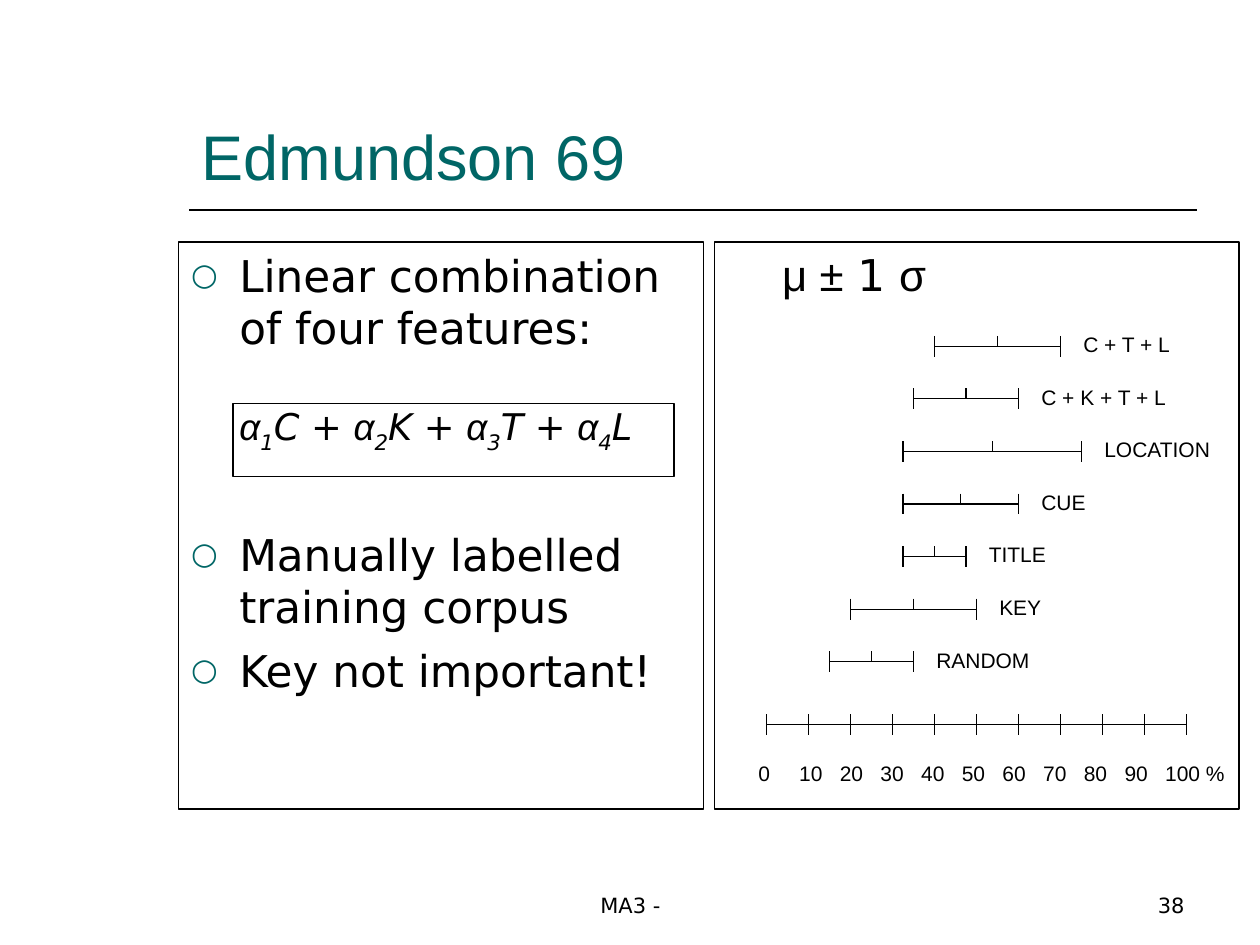
from lxml import etree
from pptx import Presentation
from pptx.dml.color import RGBColor
from pptx.enum.shapes import MSO_CONNECTOR, MSO_SHAPE
from pptx.enum.text import MSO_ANCHOR, MSO_AUTO_SIZE, PP_ALIGN
from pptx.oxml.ns import qn
from pptx.util import Cm, Pt

RECTANGLE, STRAIGHT = MSO_SHAPE.RECTANGLE, MSO_CONNECTOR.STRAIGHT
TOP, BOTTOM = MSO_ANCHOR.TOP, MSO_ANCHOR.BOTTOM
LEFT, CENTER, RIGHT = PP_ALIGN.LEFT, PP_ALIGN.CENTER, PP_ALIGN.RIGHT
FIXED = MSO_AUTO_SIZE.NONE

BLACK = RGBColor(0x00, 0x00, 0x00)
TEAL = RGBColor(0x00, 0x66, 0x66)
SANS, WIDE = "Arial", "DejaVu Sans"

# Content
TITLE = "Edmundson 69"
FORMULA = [("1", "C + "), ("2", "K + "), ("3", "T + "), ("4", "L")]
BODY = [  # text or formula, space before in points
    ("Linear combination of four features:", 0),
    (FORMULA, 29),
    ("Manually labelled training corpus", 42),
    ("Key not important!", 6.2),
]
CHART_HEADING = [("μ ±", SANS), (" 1 ", WIDE), ("σ", SANS)]
RANGES = [  # label, low %, high %
    ("C + T + L", 40, 70),
    ("C + K + T + L", 35, 60),
    ("LOCATION", 32.5, 75),
    ("CUE", 32.5, 60),
    ("TITLE", 32.5, 47.5),
    ("KEY", 20, 50),
    ("RANDOM", 15, 35),
]
SCALE = ["0", "10", "20", "30", "40", "50", "60", "70", "80", "90", "100 %"]

# Geometry in centimetres
BODY_AREA = (3.6, 4.88, 10.58, 11.43)
CHART_AREA = (14.4, 4.88, 10.58, 11.43)
FORMULA_FRAME = (4.7, 8.13, 8.89, 1.48)
AXIS_LEFT, AXIS_WIDTH, AXIS_Y = 15.45, 8.47, 14.61
FIRST_ROW, ROW_PITCH, TICK = 6.98, 1.06, 0.21
SCALE_PITCH = 0.82
HANGING = 0.97


def add_span(para, text, size=12, font=WIDE, color=BLACK, italic=False, baseline=None):
    span = para.add_run()
    span.text = text
    span.font.size, span.font.name = Pt(size), font
    span.font.color.rgb, span.font.italic = color, italic
    if baseline:
        span.font._element.set("baseline", str(baseline))


def set_frame(box, anchor=TOP, wrap=True):
    frame = box.text_frame
    frame.auto_size, frame.word_wrap, frame.vertical_anchor = FIXED, wrap, anchor
    return frame


def add_label(text, area, align=LEFT, anchor=TOP, wrap=False, **style):
    box = page.shapes.add_textbox(*map(Cm, area))
    para = set_frame(box, anchor, wrap).paragraphs[0]
    para.alignment = align
    add_span(para, text, **style)
    return para


def outline(shape):
    shape.fill.background()
    shape.line.color.rgb, shape.line.width = BLACK, Pt(0.75)


def add_frame(area):
    box = page.shapes.add_shape(RECTANGLE, *map(Cm, area))
    box.shadow.inherit = False
    outline(box)
    return box


def add_line(x1, y1, x2, y2, width=0.75):
    line = page.shapes.add_connector(STRAIGHT, *map(Cm, (x1, y1, x2, y2)))
    line.line.color.rgb, line.line.width = BLACK, Pt(width)
    etree.SubElement(line._element.spPr, qn("a:effectLst"))


def set_indent(para, margin, first=0, bullet=None):
    props = para._p.get_or_add_pPr()
    props.set("marL", str(Cm(margin)))
    props.set("indent", str(Cm(first)))
    if bullet:
        color = etree.SubElement(props, qn("a:buClr"))
        etree.SubElement(color, qn("a:srgbClr"), val=str(TEAL))
        etree.SubElement(props, qn("a:buSzPct"), val="70000")
        etree.SubElement(props, qn("a:buFont"), typeface=WIDE)
        etree.SubElement(props, qn("a:buChar"), char=bullet)
    else:
        etree.SubElement(props, qn("a:buNone"))


def percent_x(percent):
    return AXIS_LEFT + AXIS_WIDTH * percent / 100


deck = Presentation()
deck.slide_width, deck.slide_height = Cm(25.4), Cm(19.05)
page = deck.slides.add_slide(deck.slide_layouts[1])
title, body = page.placeholders

# Title and rule
title.left, title.top, title.width, title.height = map(Cm, (3.81, 0.85, 20.32, 3.18))
para = set_frame(title, BOTTOM).paragraphs[0]
para.alignment = LEFT
add_span(para, TITLE, size=36, font=SANS, color=TEAL)
add_line(3.81, 4.23, 24.13, 4.23, width=1)

# Feature list with the formula
body.left, body.top, body.width, body.height = map(Cm, BODY_AREA)
outline(body)
frame = set_frame(body)
for index, (content, gap) in enumerate(BODY):
    para = frame.add_paragraph() if index else frame.paragraphs[0]
    para.space_before = Pt(gap)
    if content is FORMULA:
        set_indent(para, HANGING)
        for number, feature in FORMULA:
            add_span(para, "α", size=21, font=SANS, italic=True)
            add_span(para, number, size=21, italic=True, baseline=-25000)
            add_span(para, feature, size=21, italic=True)
    else:
        set_indent(para, HANGING, -HANGING, bullet="○")
        add_span(para, content, size=25)
add_frame(FORMULA_FRAME)

# Chart panel and heading
para = set_frame(add_frame(CHART_AREA)).paragraphs[0]
para.alignment = LEFT
set_indent(para, 1.12)
for text, font in CHART_HEADING:
    add_span(para, text, size=25, font=font)

# Ranges with end ticks and a mean tick
for row, (name, low, high) in enumerate(RANGES):
    y = FIRST_ROW + row * ROW_PITCH
    start, end = percent_x(low), percent_x(high)
    middle = (start + end) / 2
    add_line(start, y, end, y)
    for x in (start, end):
        add_line(x, y - TICK, x, y + TICK)
    add_line(middle, y - TICK, middle, y)
    add_label(name, (end + 0.21, y - 0.42, 3, 0.76), font=SANS)

# Percent axis
add_line(AXIS_LEFT, AXIS_Y, AXIS_LEFT + AXIS_WIDTH, AXIS_Y)
for percent in range(0, 101, 10):
    x = percent_x(percent)
    add_line(x, AXIS_Y - TICK, x, AXIS_Y + TICK)
para = add_label("\t".join(SCALE), (15.04, 15.21, 10.36, 0.76), wrap=True, font=SANS)
tabs = etree.SubElement(para._p.get_or_add_pPr(), qn("a:tabLst"))
for step in range(1, len(SCALE)):
    etree.SubElement(tabs, qn("a:tab"), pos=str(Cm(step * SCALE_PITCH)), algn="l")

# Footer
add_label("MA3 -", (8.69, 17.35, 8.04, 1.27), align=CENTER, anchor=BOTTOM, wrap=True)
add_label("38", (18.21, 17.35, 5.92, 1.27), align=RIGHT, anchor=BOTTOM, wrap=True)

deck.save("out.pptx")
